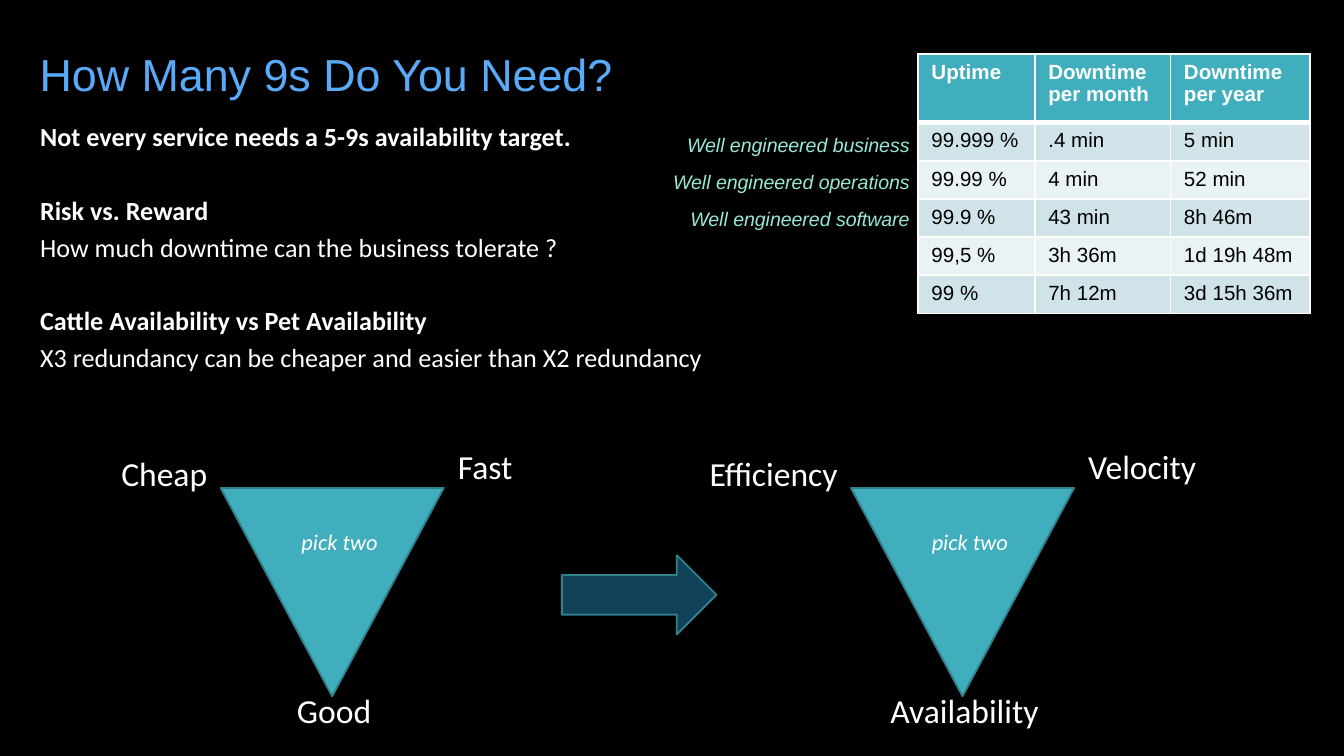
from lxml.etree import SubElement
from pptx import Presentation
from pptx.dml.color import RGBColor
from pptx.enum.shapes import MSO_SHAPE as SHAPE
from pptx.enum.text import MSO_AUTO_SIZE as AUTO, PP_ALIGN as ALIGN
from pptx.oxml.ns import qn
from pptx.util import Pt

BLACK = RGBColor(0x00, 0x00, 0x00)
WHITE = RGBColor(0xFF, 0xFF, 0xFF)
BLUE = RGBColor(0x5A, 0xAA, 0xFA)
MINT = RGBColor(0x97, 0xE9, 0xD5)
TEAL = RGBColor(0x41, 0xAE, 0xBD)
EDGE = RGBColor(0x30, 0x81, 0x8C)
NAVY = RGBColor(0x10, 0x41, 0x58)
BANDS = [RGBColor(0xCF, 0xE3, 0xE8), RGBColor(0xE9, 0xF2, 0xF4)]

TITLE = "How Many 9s Do You Need?"
SECTIONS = [
    ["Not every service needs a 5-9s availability target."],
    ["Risk vs. Reward", "How much downtime can the business tolerate ?"],
    ["Cattle Availability vs Pet Availability",
     "X3 redundancy can be cheaper and easier than X2 redundancy"],
]
UPTIME = [
    ("Uptime", "Downtime per month", "Downtime per year"),
    ("99.999 %", ".4 min", "5 min"),
    ("99.99 %", "4 min", "52 min"),
    ("99.9 %", "43 min", "8h 46m"),
    ("99,5 %", "3h 36m", "1d 19h 48m"),
    ("99 %", "7h 12m", "3d 15h 36m"),
]
COLUMNS = [62.6, 72.7, 74.6]
PRACTICES = [("Well engineered business", 141.8),
             ("Well engineered operations", 149.8),
             ("Well engineered software", 134.6)]
TRIANGLES = [
    (118.2, ("Cheap", 62.6), ("Fast", 46), ("Good", 56)),
    (455.9, ("Efficiency", 88), ("Velocity", 75.6), ("Availability", 98)),
]
TRIANGLE_TOP, TRIANGLE_W, TRIANGLE_H = 261.4, 119.5, 111.6


def add_run(p, text, size, font, color, bold=False, italic=False):
    r = p.add_run()
    r.text = text
    f = r.font
    f.size, f.name, f.bold, f.italic = Pt(size), font, bold, italic
    f.color.rgb = color


def add_box(x, y, w, h, wrap=True):
    tf = s.shapes.add_textbox(Pt(x), Pt(y), Pt(w), Pt(h)).text_frame
    tf.word_wrap = wrap
    return tf


def add_label(text, x, y, w, h, align, size, font="Calibri", color=WHITE, italic=False):
    left = x - w * {ALIGN.LEFT: 0, ALIGN.CENTER: 0.5, ALIGN.RIGHT: 1}[align]
    tf = add_box(left, y, w, h, wrap=False)
    tf.auto_size = AUTO.SHAPE_TO_FIT_TEXT
    p = tf.paragraphs[0]
    p.alignment = align
    add_run(p, text, size, font, color, italic=italic)


def add_shape(kind, x, y, w, h, color):
    sp = s.shapes.add_shape(kind, Pt(x), Pt(y), Pt(w), Pt(h))
    sp.shadow.inherit = False
    sp.fill.solid()
    sp.fill.fore_color.rgb = color
    sp.line.color.rgb = EDGE
    sp.line.width = Pt(1)
    return sp


def add_borders(cell, bottom):
    props = cell._tc.get_or_add_tcPr()
    for side, width in (("L", 1), ("R", 1), ("T", 1), ("B", bottom)):
        ln = SubElement(props, qn("a:ln" + side), w=str(Pt(width)))
        fill = SubElement(ln, qn("a:solidFill"))
        SubElement(fill, qn("a:srgbClr"), val=str(WHITE))


prs = Presentation()
prs.slide_width, prs.slide_height = Pt(720), Pt(405)
s = prs.slides.add_slide(prs.slide_layouts[6])
s.background.fill.solid()
s.background.fill.fore_color.rgb = BLACK

tf = add_box(15.8, 22, 340, 37)
tf.margin_left = tf.margin_right = Pt(5.4)
tf.margin_top = tf.margin_bottom = Pt(2.9)
add_run(tf.paragraphs[0], TITLE, 24, "Arial", BLUE)

tf = add_box(14.4, 61.2, 572.4, 185.8)
for i, section in enumerate(SECTIONS):
    for j, text in enumerate(section):
        p = tf.add_paragraph() if i or j else tf.paragraphs[0]
        if i or j:
            p.space_before = Pt(2.8 if j else 22.6)
        add_run(p, text, 14, "Calibri", WHITE, bold=j == 0)

for x, left, right, bottom in TRIANGLES:
    sp = add_shape(SHAPE.ISOSCELES_TRIANGLE, x, TRIANGLE_TOP, TRIANGLE_W, TRIANGLE_H, TEAL)
    sp.rotation = 180
    for (text, w), dx, y, align in (
        (left, 0, 239, ALIGN.RIGHT),
        (right, 120, 235.5, ALIGN.LEFT),
        (bottom, 60.8, 365.8, ALIGN.CENTER),
    ):
        add_label(text, x + dx, y, w, 29, align, 18)
    add_label("pick two", x + 36.2, 279.6, 58.4, 21.8, ALIGN.LEFT, 12, italic=True)

add_shape(SHAPE.RIGHT_ARROW, 301, 297.4, 82.8, 42.5, NAVY)

table = s.shapes.add_table(len(UPTIME), len(COLUMNS), Pt(491.8), Pt(28.8),
                           Pt(sum(COLUMNS)), Pt(138.4)).table
for column, width in zip(table.columns, COLUMNS):
    column.width = Pt(width)
for i, values in enumerate(UPTIME):
    header = i == 0
    table.rows[i].height = Pt(36.9 if header else 20.3)
    for j, text in enumerate(values):
        cell = table.cell(i, j)
        add_borders(cell, 3 if header else 1)
        cell.fill.solid()
        cell.fill.fore_color.rgb = TEAL if header else BANDS[(i - 1) % 2]
        add_run(cell.text_frame.paragraphs[0], text, 11, "Arial",
                WHITE if header else BLACK, bold=header)

for i, (text, w) in enumerate(PRACTICES):
    add_label(text, 494.6, 67.7 + 19.8 * i, w, 20.5, ALIGN.RIGHT, 10.5, "Arial", MINT, True)

prs.save("out.pptx")
